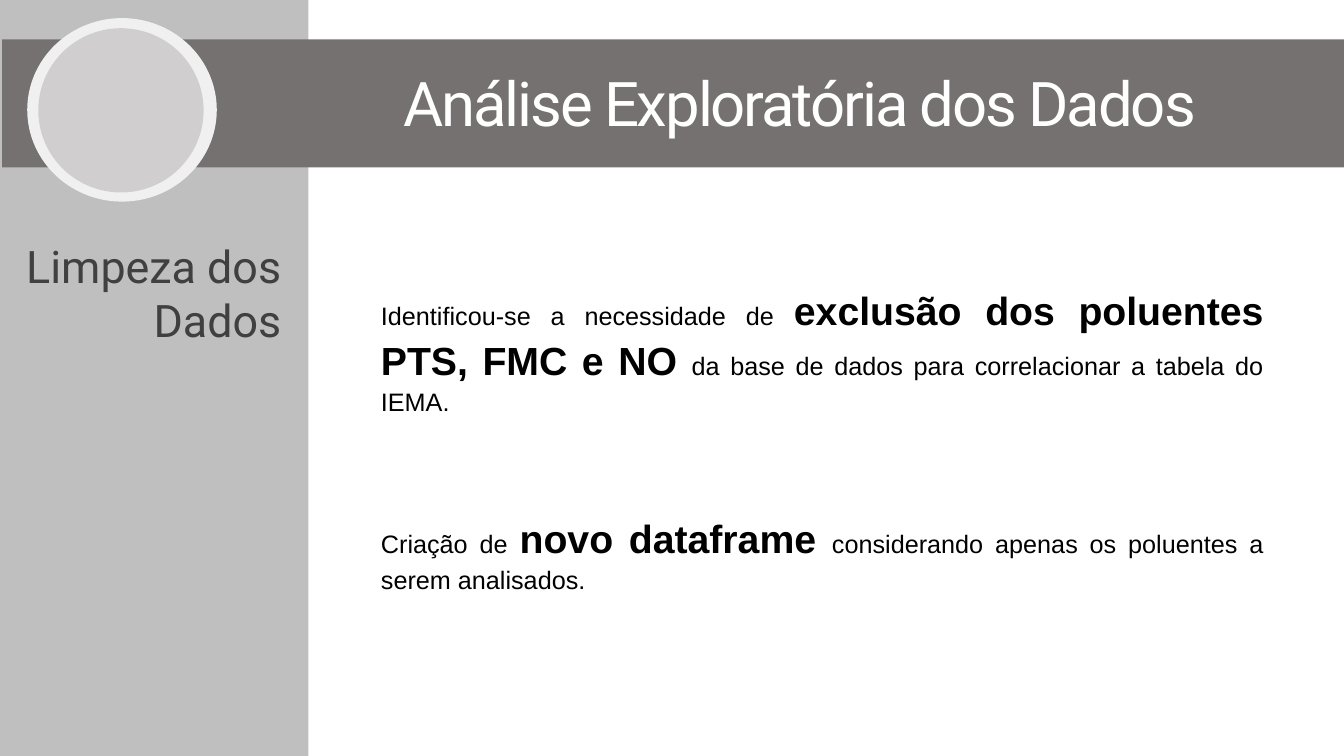
from dataclasses import dataclass

from pptx import Presentation
from pptx.dml.color import RGBColor as Rgb
from pptx.enum.shapes import MSO_SHAPE as Shape
from pptx.enum.text import PP_ALIGN as Align
from pptx.util import Inches, Pt


@dataclass(frozen=True)
class Theme:
    side: str = "BFBFBF"
    band: str = "767171"
    ring: str = "F0F0F0"
    disc: str = "D0CECE"
    label: str = "404040"
    title: str = "FFFFFF"
    body: str = "000000"
    head_font: str = "Roboto"
    body_font: str = "Arial"
    title_size: int = 44
    label_size: int = 32
    key_size: int = 28
    body_size: int = 18


THEME = Theme()


def add_block(slide, kind, box, color):
    block = slide.shapes.add_shape(kind, *map(Inches, box))
    block.shadow.inherit = False
    block.fill.solid()
    block.fill.fore_color.rgb = Rgb.from_string(color)
    block.line.fill.background()


def add_text(slide, box, paras, *, size, font, color, align,
             key_size=None, track=0, lead=None, gap=0):
    """Write paragraphs of runs; every second run is a bold key phrase."""
    frame = slide.shapes.add_textbox(*map(Inches, box)).text_frame
    frame.word_wrap = True
    for i, parts in enumerate(paras):
        para = frame.add_paragraph() if i else frame.paragraphs[0]
        para.alignment = align
        para.space_after = Pt(gap)
        if lead:
            para.line_spacing = lead
        for j, part in enumerate(parts):
            run = para.add_run()
            run.text = part
            is_key = j % 2 == 1
            run.font.name = font
            run.font.size = Pt(key_size if is_key else size)
            run.font.bold = is_key
            run.font.color.rgb = Rgb.from_string(color)
            if track:
                run._r.get_or_add_rPr().set("spc", str(round(track * 100)))


def main():
    deck = Presentation()
    deck.slide_width, deck.slide_height = Inches(13.33), Inches(7.5)
    slide = deck.slides.add_slide(deck.slide_layouts[6])

    add_block(slide, Shape.RECTANGLE, (0, 0, 3.06, 7.5), THEME.side)
    add_text(slide, (0.11, 2.32, 2.78, 1.18), [["Limpeza dos Dados"]],
             size=THEME.label_size, font=THEME.head_font,
             color=THEME.label, align=Align.RIGHT)

    add_block(slide, Shape.RECTANGLE, (0.02, 0.39, 13.31, 1.27), THEME.band)
    add_block(slide, Shape.OVAL, (0.27, 0.18, 1.88, 1.82), THEME.ring)
    add_block(slide, Shape.OVAL, (0.38, 0.28, 1.64, 1.63), THEME.disc)
    add_text(slide, (2.79, 0.6, 10.28, 1.14),
             [["Análise Exploratória dos Dados"]],
             size=THEME.title_size, font=THEME.head_font,
             color=THEME.title, align=Align.CENTER, track=-1.5)

    findings = [
        ["Identificou-se a necessidade de ",
         "exclusão dos poluentes PTS, FMC e NO ",
         "da base de dados para correlacionar a tabela do IEMA."],
        ["Criação de ", "novo dataframe ",
         "considerando apenas os poluentes a serem analisados."],
    ]
    add_text(slide, (3.68, 2.76, 8.95, 3.67), findings,
             size=THEME.body_size, key_size=THEME.key_size,
             font=THEME.body_font, color=THEME.body,
             align=Align.JUSTIFY, lead=1.07, gap=68)

    deck.save("out.pptx")


if __name__ == "__main__":
    main()
